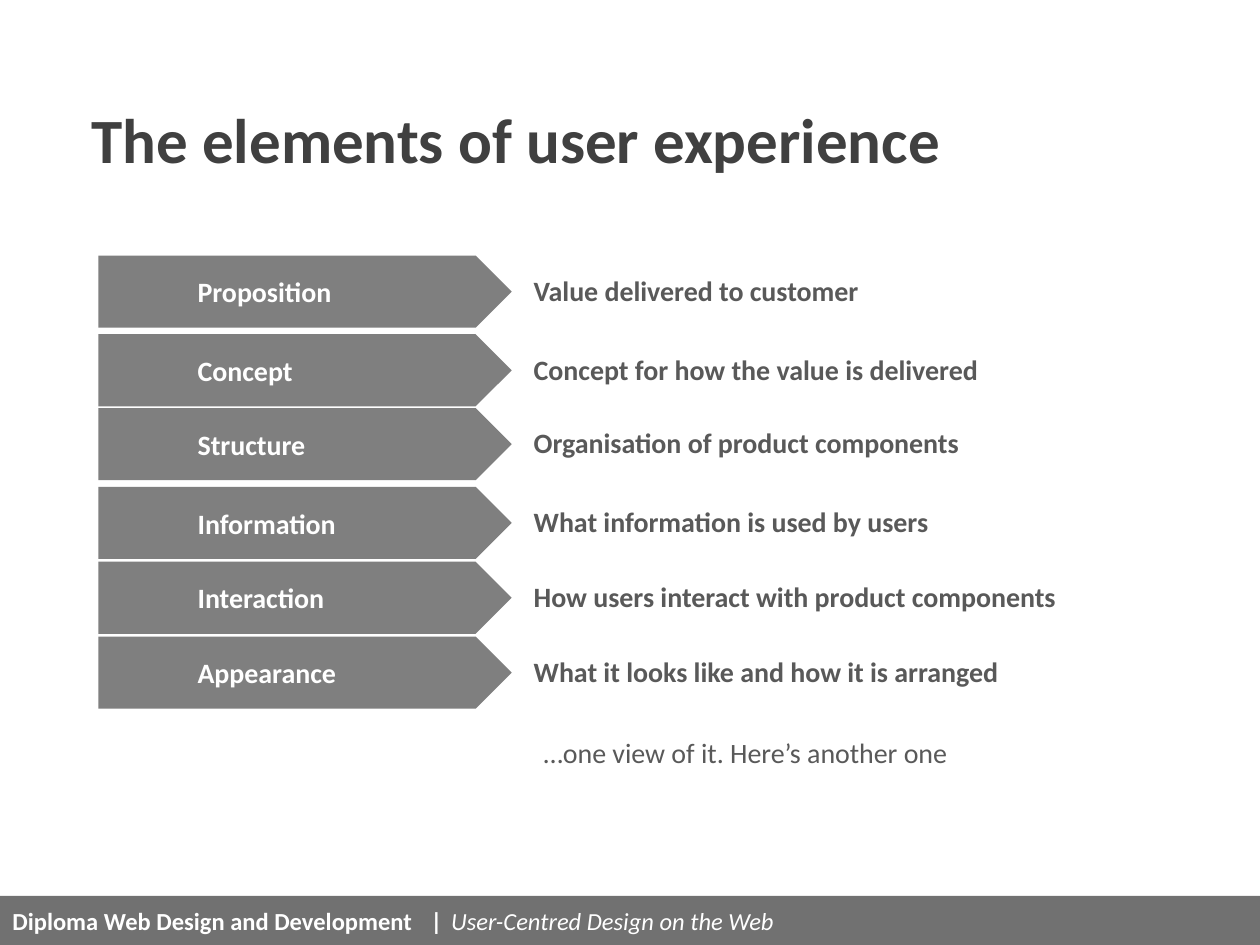
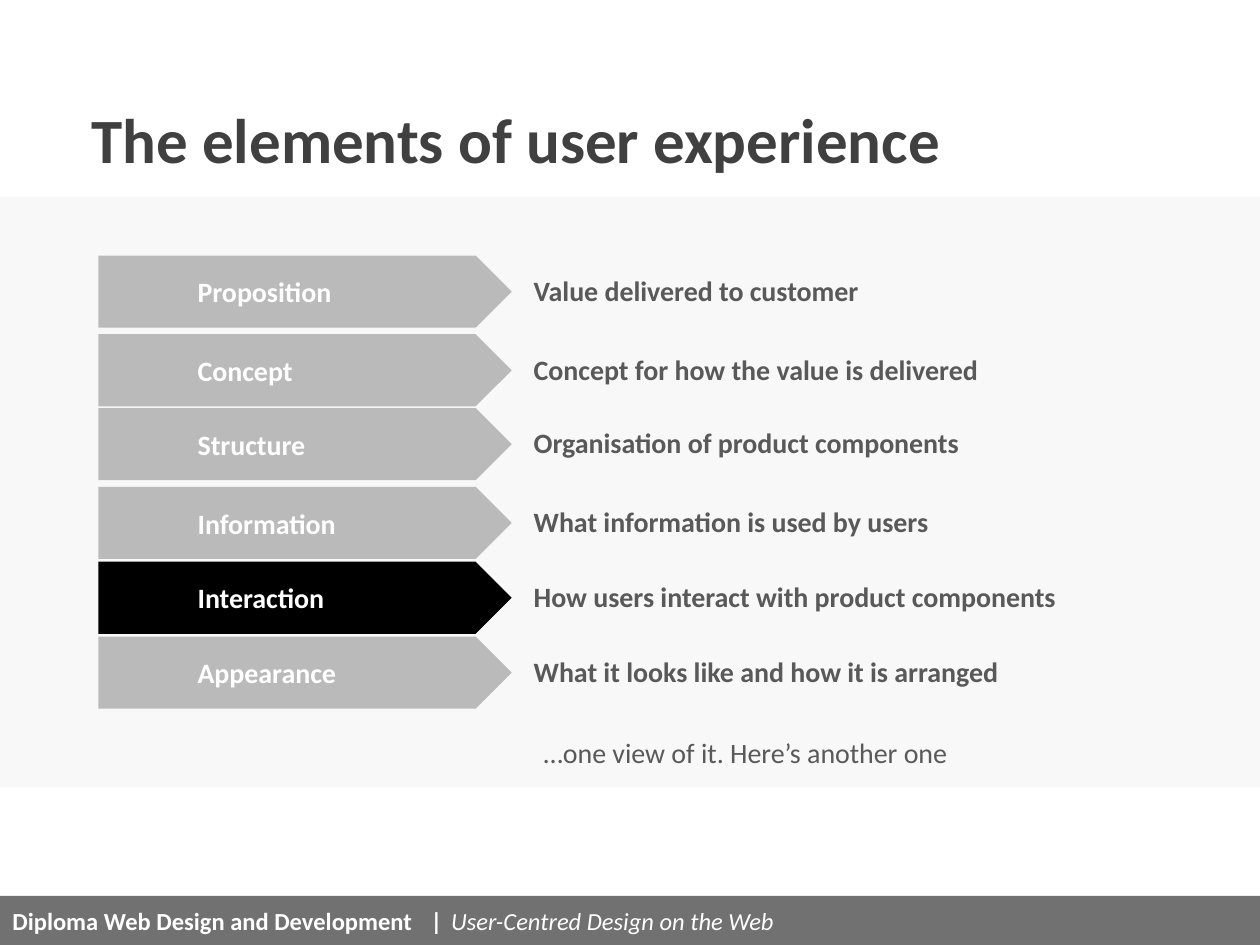
from lxml import etree
from pptx import Presentation
from pptx import util as u
from pptx.dml import color
from pptx.enum import shapes, text
from pptx.oxml import ns

Pt = u.Pt

# Shared look
FONT = "Calibri"
WHITE, TITLE_GREY, TEXT_GREY = "FFFFFF", "404040", "595959"
FOOTER_GREY, PANEL_GREY = "717171", "F8F8F8"
SLIDE_WIDTH, SLIDE_HEIGHT = 720, 540
FOOTER_HEIGHT = 28
ARROW_LEFT, ARROW_WIDTH, ARROW_HEIGHT = 56.2, 236.2, 41.2
LABEL_LEFT, LABEL_WIDTH, LABEL_HEIGHT = 297.9, 368.6, 26.6

# Arrow top, element, what it means
elements = [
    (146, "Proposition", "Value delivered to customer"),
    (191, "Concept", "Concept for how the value is delivered"),
    (233.2, "Structure", "Organisation of product components"),
    (278.2, "Information", "What information is used by users"),
    (321, "Interaction", "How users interact with product components"),
    (363.8, "Appearance", "What it looks like and how it is arranged"),
]

# Arrow colour, highlighted element, highlight colour, panel behind the list
versions = [
    ("7F7F7F", None, None, False),
    ("BABABA", "Interaction", "000000", True),
]


def add_block(slide, kind, left, top, width, height, fill):
    shape = slide.shapes.add_shape(kind, Pt(left), Pt(top), Pt(width), Pt(height))
    shape.shadow.inherit = False
    shape.fill.solid()
    shape.fill.fore_color.rgb = color.RGBColor.from_string(fill)
    shape.line.fill.background()
    return shape


def write(shape, words, size, hex_color, bold=True):
    frame = shape.text_frame
    frame.text = words
    frame.word_wrap = True
    frame.vertical_anchor = text.MSO_ANCHOR.MIDDLE
    paragraph = frame.paragraphs[0]
    paragraph.alignment = text.PP_ALIGN.LEFT
    font = paragraph.runs[0].font
    font.name, font.size, font.bold = FONT, Pt(size), bold
    font.color.rgb = color.RGBColor.from_string(hex_color)
    return paragraph


presentation = Presentation()
presentation.slide_width, presentation.slide_height = Pt(SLIDE_WIDTH), Pt(SLIDE_HEIGHT)

for arrow_color, highlighted, highlight_color, has_panel in versions:
    slide = presentation.slides.add_slide(presentation.slide_layouts[5])

    # Footer band, with tab stops around the divider
    footer = add_block(slide, shapes.MSO_SHAPE.RECTANGLE, 0, SLIDE_HEIGHT - FOOTER_HEIGHT,
                       SLIDE_WIDTH, FOOTER_HEIGHT, FOOTER_GREY)
    paragraph = write(footer, "Diploma Web Design and Development\t|\t", 14, WHITE)
    paragraph.space_before = Pt(3.5)
    course = paragraph.add_run()
    course.text = "User-Centred Design on the Web"
    course.font.name, course.font.size, course.font.italic = FONT, Pt(14), True
    course.font.color.rgb = color.RGBColor.from_string(WHITE)
    tab_stops = etree.SubElement(paragraph._p.get_or_add_pPr(), ns.qn("a:tabLst"))
    for position in (239, 250.7):
        etree.SubElement(tab_stops, ns.qn("a:tab"), pos=str(Pt(position)), algn="l")

    # Panel
    if has_panel:
        add_block(slide, shapes.MSO_SHAPE.RECTANGLE, 0, 112.3, SLIDE_WIDTH, 337.7, PANEL_GREY)

    # Title, brought in front of the bands
    title = slide.shapes.title
    title.left, title.top, title.width, title.height = Pt(45), Pt(34), Pt(628), Pt(90)
    write(title, "The elements of user experience", 36, TITLE_GREY)
    slide.shapes._spTree.append(title._element)

    # Arrows and their explanations
    for top, name, meaning in elements:
        fill = highlight_color if name == highlighted else arrow_color
        arrow = add_block(slide, shapes.MSO_SHAPE.PENTAGON, ARROW_LEFT, top,
                          ARROW_WIDTH, ARROW_HEIGHT, fill)
        write(arrow, name, 16, WHITE)
        arrow.text_frame.margin_left = Pt(56.7)

        label_top = top + (ARROW_HEIGHT - LABEL_HEIGHT) / 2 - 0.8
        label = slide.shapes.add_textbox(Pt(LABEL_LEFT), Pt(label_top),
                                         Pt(LABEL_WIDTH), Pt(LABEL_HEIGHT))
        write(label, meaning, 16, TEXT_GREY)

    # Closing remark
    remark = slide.shapes.add_textbox(Pt(303.6), Pt(416.5), Pt(264), Pt(LABEL_HEIGHT))
    write(remark, "…one view of it. Here’s another one", 16, TEXT_GREY, bold=False)

presentation.save("out.pptx")
